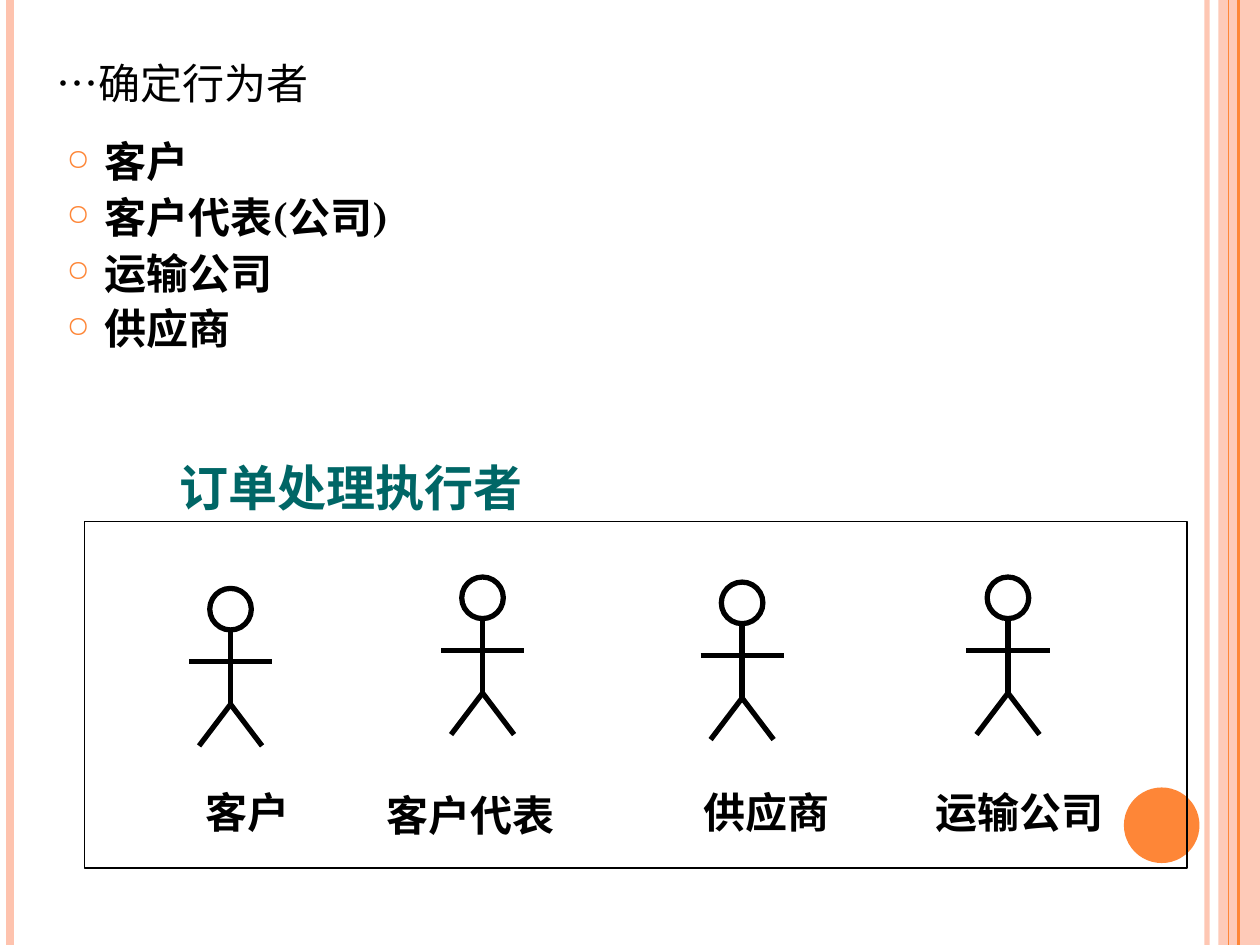
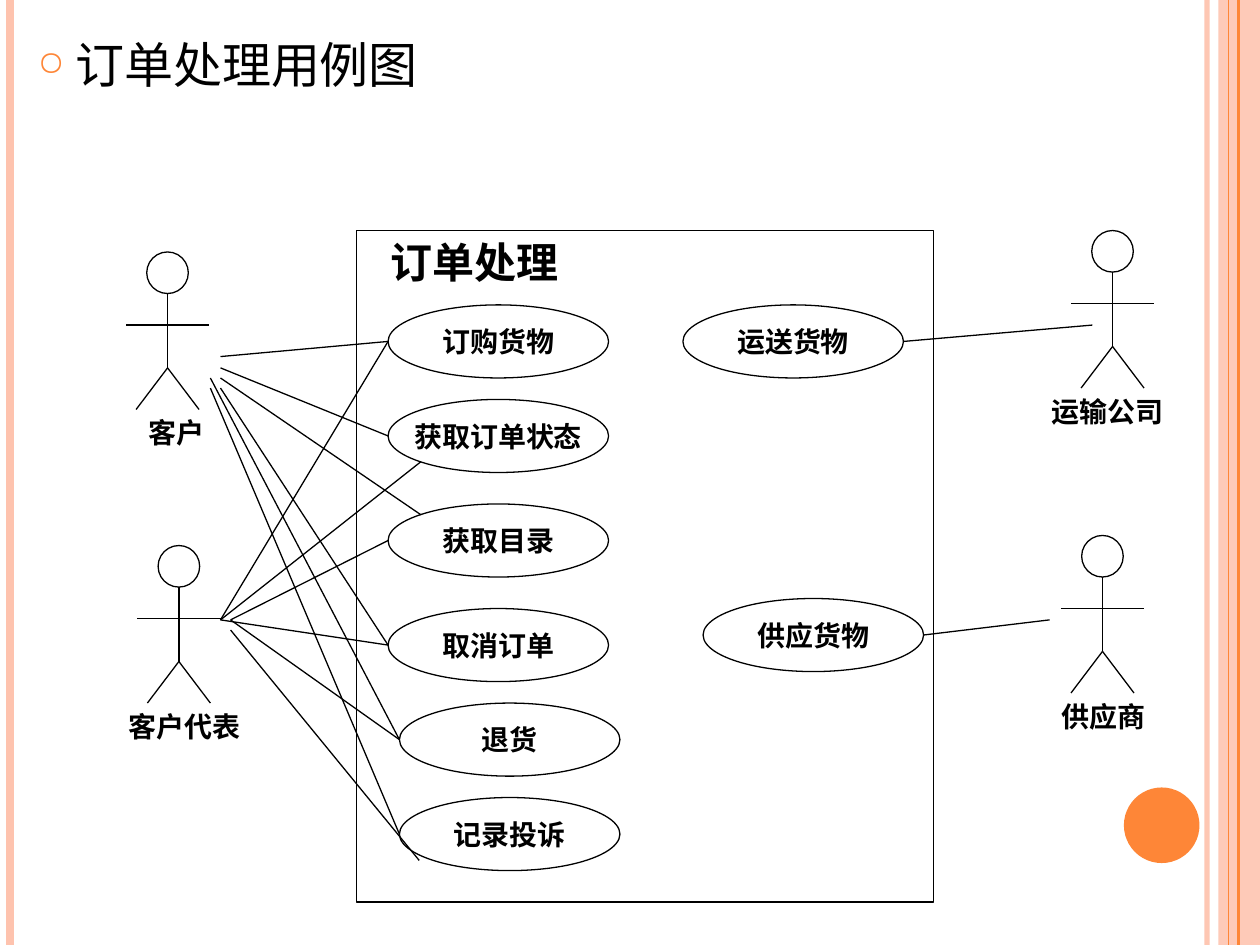
from pptx import Presentation
from pptx.dml.color import RGBColor
from pptx.enum.shapes import MSO_CONNECTOR as Conn, MSO_SHAPE as Kind
from pptx.enum.text import MSO_ANCHOR as Anchor, PP_ALIGN as Align
from pptx.oxml.ns import qn
from pptx.util import Inches, Pt
from lxml.etree import SubElement

COLORS = {"ink": "000000", "pale": "FEC3AE", "accent": "FE8637", "teal": "006666"}
SERIF, ROMAN, SANS = "TeX Gyre Schola", "Times New Roman", "Arial"
WIDE, HIGH = 10, 7.5

# Shared edge rules: x, colour, weight, opacity in percent
RULES = [
    (9.58, "pale", 3, 93),
    (0.08, "pale", 4.5, 100),
    (9.83, "accent", 1.5, 100),
    (9.75, "accent", 0.75, 100),
]

# Slide 1
TITLE = [("…", SANS), ("确定行为者", SERIF)]
ROLES = ["客户", "客户代表(公司)", "运输公司", "供应商"]
CAPTION = "订单处理执行者"
# Centre x and top y of each figure, then its label's box and alignment
CAST = [
    ((1.83, 4.67), "客户", (1.3, 6.19, 1.33, 0.5), Align.CENTER),
    ((3.83, 4.58), "客户代表", (2.97, 6.22, 2.08, 0.5), Align.LEFT),
    ((5.89, 4.62), "供应商", (5.17, 6.19, 1.83, 0.5), Align.CENTER),
    ((8, 4.58), "运输公司", (7.18, 6.19, 1.83, 0.5), Align.CENTER),
]

# Slide 2
HEAD = "订单处理用例图"
SYSTEM = "订单处理"
# Name, centre x, top y, label left, label width
ACTORS = [
    ("客户", 1.33, 2, 1.08, 0.75),
    ("客户代表", 1.42, 4.33, 0.92, 1.25),
    ("运输公司", 8.83, 1.83, 8.25, 1.25),
    ("供应商", 8.75, 4.25, 8.33, 1.08),
]
CASE_W, CASE_H = 1.75, 0.58
CASES = {
    "订购货物": (3.08, 2.42),
    "获取订单状态": (3.08, 3.17),
    "获取目录": (3.08, 4),
    "取消订单": (3.08, 4.83),
    "退货": (3.17, 5.58),
    "记录投诉": (3.17, 6.33),
    "运送货物": (5.42, 2.42),
    "供应货物": (5.58, 4.75),
}
# Where a link meets an ellipse, as shares of its width and height
SITES = {"left": (0, 0.5), "right": (1, 0.5), "upper": (0.15, 0.15),
         "lower": (0.15, 0.85), "foot": (0.09, 0.86)}
LINKS = [
    ((1.75, 2.83), "订购货物", "left"),
    ((1.75, 2.92), "获取订单状态", "left"),
    ((1.75, 3), "获取目录", "upper"),
    ((1.75, 3.08), "取消订单", "left"),
    ((1.67, 3), "退货", "left"),
    ((1.67, 3.08), "记录投诉", "left"),
    ((1.75, 4.92), "订购货物", "left"),
    ((1.75, 4.92), "获取订单状态", "lower"),
    ((1.83, 4.92), "获取目录", "left"),
    ((1.75, 4.92), "取消订单", "left"),
    ((1.83, 4.92), "退货", "left"),
    ((1.83, 5), "记录投诉", "foot"),
    ((8.67, 2.58), "运送货物", "right"),
    ((8.33, 4.92), "供应货物", "right"),
]


def rgb(name):
    return RGBColor.from_string(COLORS[name])


def fade(part, share):
    """Set the opacity, in percent, of the solid colour inside part."""
    if share < 100:
        tint = next(part.iter(qn("a:srgbClr")))
        SubElement(tint, qn("a:alpha")).set("val", str(share * 1000))


def add_line(slide, start, end, weight=0.75, color="ink", share=100):
    line = slide.shapes.add_connector(Conn.STRAIGHT, *map(Inches, start + end))
    line.line.color.rgb = rgb(color)
    line.line.width = Pt(weight)
    props = line._element.spPr
    fade(props, share)
    SubElement(props, qn("a:effectLst"))


def add_form(slide, kind, box, fill=None, weight=0.75, share=100):
    """Add a filled shape without a line, or an outline without a fill."""
    form = slide.shapes.add_shape(kind, *map(Inches, box))
    form.shadow.inherit = False
    if fill:
        form.fill.solid()
        form.fill.fore_color.rgb = rgb(fill)
        fade(form._element.spPr, share)
        form.line.fill.background()
    else:
        form.fill.background()
        form.line.color.rgb = rgb("ink")
        form.line.width = Pt(weight)
    return form


def add_run(para, text, size, font=ROMAN, bold=True, color="ink"):
    run = para.add_run()
    run.text = text
    run.font.size, run.font.name, run.font.bold = Pt(size), font, bold
    run.font.color.rgb = rgb(color)
    props = run._r.get_or_add_rPr()
    props.set("lang", "zh-CN")
    return props


def add_text(slide, box, text, size, color="ink", align=Align.LEFT):
    frame = slide.shapes.add_textbox(*map(Inches, box)).text_frame
    frame.word_wrap = True
    para = frame.paragraphs[0]
    para.alignment = align
    add_run(para, text, size, color=color)


def add_list(slide, box, items, size, bold):
    frame = slide.shapes.add_textbox(*map(Inches, box)).text_frame
    frame.word_wrap = True
    for i, item in enumerate(items):
        para = frame.add_paragraph() if i else frame.paragraphs[0]
        para.line_spacing, para.space_before = 0.9, Pt(6)
        props = para._p.get_or_add_pPr()
        props.set("marL", str(Inches(0.3)))
        props.set("indent", str(-Inches(0.3)))
        tint = SubElement(props, qn("a:buClr"))
        SubElement(tint, qn("a:srgbClr")).set("val", COLORS["accent"])
        SubElement(props, qn("a:buSzPct")).set("val", "70000")
        SubElement(props, qn("a:buChar")).set("char", "○")
        add_run(para, item, size, SERIF, bold)


def add_actor(slide, x, y, weight=0.75):
    """Draw a stick figure from its centre x and top y."""
    neck, arms, hip, feet = y + 0.33, y + 0.58, y + 0.92, y + 1.25
    add_form(slide, Kind.OVAL, (x - 0.165, y, 0.33, 0.33), weight=weight)
    add_line(slide, (x - 0.33, arms), (x + 0.33, arms), weight)
    add_line(slide, (x, neck), (x, hip), weight)
    for side in (-0.25, 0.25):
        add_line(slide, (x, hip), (x + side, feet), weight)


def add_base(prs, layout):
    """Add a slide with the shared edge bands and disc."""
    slide = prs.slides.add_slide(prs.slide_layouts[layout])
    add_form(slide, Kind.RECTANGLE, (9.67, 0, 0.33, HIGH), "pale", share=87)
    for x, color, weight, share in RULES:
        add_line(slide, (x, 0), (x, HIGH), weight, color, share)
    add_form(slide, Kind.OVAL, (8.92, 6.25, 0.6, 0.6), "accent")
    return slide


def add_roles(prs):
    slide = add_base(prs, 5)
    title = slide.shapes.title
    title.left, title.top, title.width, title.height = map(
        Inches, (0.35, 0.28, 8.17, 0.64))
    frame = title.text_frame
    frame.vertical_anchor = Anchor.BOTTOM
    para = frame.paragraphs[0]
    para.alignment = Align.LEFT
    for text, font in TITLE:
        add_run(para, text, 30, font, False).set("cap", "small")

    add_list(slide, (0.43, 1.07, 8.92, 2.04), ROLES, 24, True)
    add_form(slide, Kind.RECTANGLE, (0.67, 4.14, 8.75, 2.75))
    add_text(slide, (1.33, 3.58, 3.5, 0.57), CAPTION, 28, "teal")
    for spot, name, box, align in CAST:
        add_actor(slide, *spot, weight=3)
        add_text(slide, box, name, 24, align=align)


def add_cases(prs):
    slide = add_base(prs, 6)
    add_list(slide, (0.2, 0.28, 9, 0.51), [HEAD], 28, False)
    add_form(slide, Kind.RECTANGLE, (2.83, 1.83, 4.58, 5.33))
    add_text(slide, (3, 1.83, 2, 0.5), SYSTEM, 24)
    for name, x, y, left, width in ACTORS:
        add_actor(slide, x, y)
        add_text(slide, (left, y + 1.25, width, 0.37), name, 16)
    for name, (x, y) in CASES.items():
        frame = add_form(slide, Kind.OVAL, (x, y, CASE_W, CASE_H)).text_frame
        frame.word_wrap = False
        frame.vertical_anchor = Anchor.MIDDLE
        para = frame.paragraphs[0]
        para.alignment = Align.CENTER
        add_run(para, name, 16)
    for start, name, site in LINKS:
        (x, y), (across, down) = CASES[name], SITES[site]
        add_line(slide, start, (x + across * CASE_W, y + down * CASE_H))


def main():
    prs = Presentation()
    prs.slide_width, prs.slide_height = Inches(WIDE), Inches(HIGH)
    add_roles(prs)
    add_cases(prs)
    prs.save("out.pptx")


if __name__ == "__main__":
    main()
